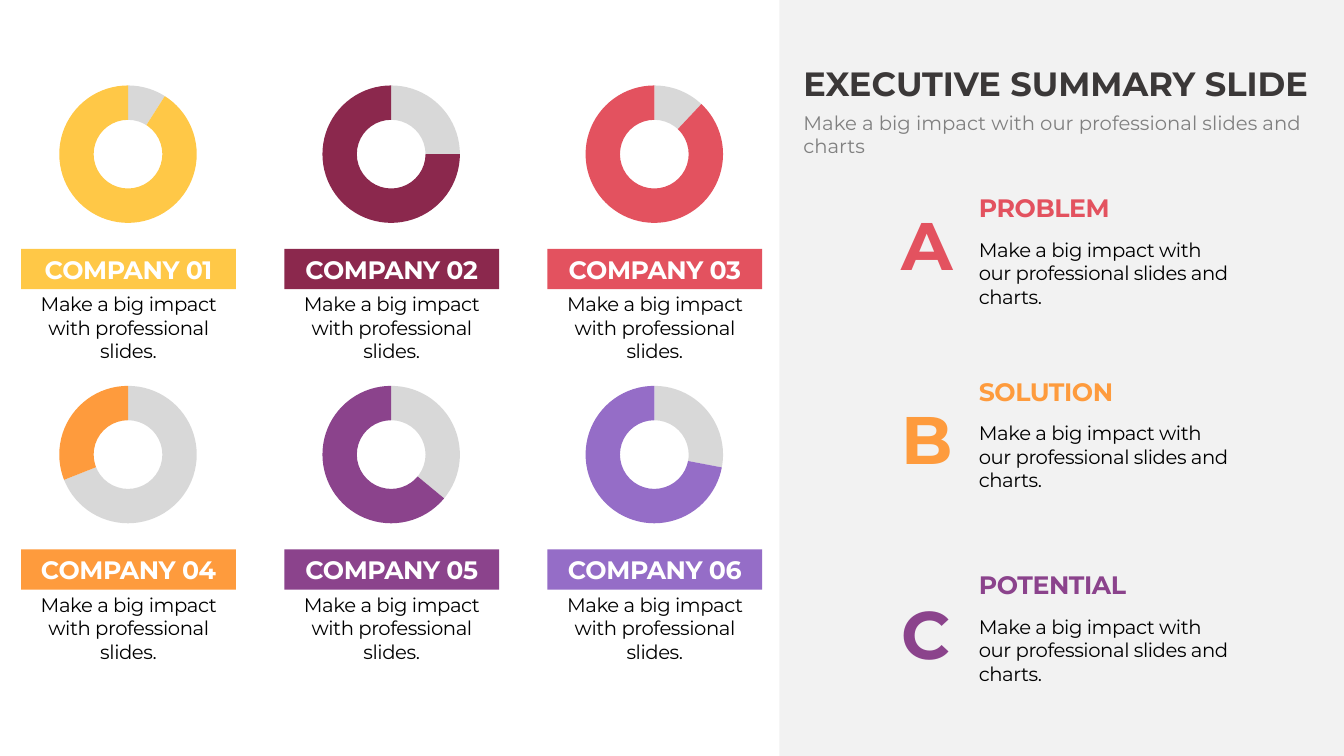
from lxml.etree import SubElement
from pptx import Presentation
from pptx.chart.data import CategoryChartData
from pptx.dml.color import RGBColor
from pptx.enum.chart import XL_CHART_TYPE
from pptx.enum.shapes import MSO_SHAPE
from pptx.enum.text import MSO_ANCHOR, MSO_AUTO_SIZE, PP_ALIGN
from pptx.oxml.ns import qn
from pptx.util import Pt

PX = 9144
COLOURS = {
    "panel": "F2F2F2", "title": "3B3838", "grey": "808080", "black": "000000",
    "white": "FFFFFF", "yellow": "FFC847", "wine": "8B284D", "red": "E3525F",
    "orange": "FE9B3D", "purple": "8B438C", "lilac": "956DC7",
}
COMPANIES = [("yellow", 9), ("wine", 25), ("red", 12),
             ("orange", 69), ("purple", 36), ("lilac", 28)]
SECTIONS = [("A", "PROBLEM", "red", 186, 196),
            ("B", "SOLUTION", "orange", 368, 389),
            ("C", "POTENTIAL", "purple", 560, 582)]


def colour(name):
    """Return the named colour."""
    return RGBColor.from_string(COLOURS[name])


def write_text(shape, text, size=14, color="black", bold=False, spacing=-30,
               align=PP_ALIGN.LEFT, anchor=MSO_ANCHOR.TOP):
    """Put formatted text into a shape."""
    frame = shape.text_frame
    frame.word_wrap = True
    frame.auto_size = MSO_AUTO_SIZE.SHAPE_TO_FIT_TEXT
    frame.vertical_anchor = anchor
    paragraph = frame.paragraphs[0]
    paragraph.alignment = align
    run = paragraph.add_run()
    run.text = text
    font = run.font
    font.name, font.size, font.bold = "Montserrat", Pt(size), bold
    font.color.rgb = colour(color)
    if spacing:
        font._element.set("spc", str(spacing))


class SlideBuilder:
    """Draw styled elements on one slide."""

    def __init__(self, slide):
        """Keep the current slide."""
        self.slide = slide

    def rectangle(self, left, top, width, height, fill):
        """Add a plain filled rectangle."""
        shape = self.slide.shapes.add_shape(
            MSO_SHAPE.RECTANGLE, left * PX, top * PX, width * PX, height * PX)
        shape.shadow.inherit = False
        shape.fill.solid()
        shape.fill.fore_color.rgb = colour(fill)
        shape.line.fill.background()
        return shape

    def text(self, left, top, width, height, text, **style):
        """Add a text box."""
        box = self.slide.shapes.add_textbox(
            left * PX, top * PX, width * PX, height * PX)
        write_text(box, text, **style)

    def doughnut(self, left, top, width, height, rest, color):
        """Add a doughnut with a grey rest and a coloured share."""
        data = CategoryChartData()
        data.categories = ["1", "2"]
        data.add_series("Series 1", (rest, 100 - rest))
        chart = self.slide.shapes.add_chart(
            XL_CHART_TYPE.DOUGHNUT, left * PX, top * PX,
            width * PX, height * PX, data).chart
        chart.has_legend = False
        chart.has_title = False
        chart.font.name, chart.font.size = "Calibri", Pt(10)
        chart.font.color.rgb = colour("black")
        plot = chart.plots[0]
        plot.vary_by_categories = True
        plot.has_data_labels = False
        plot._element.find(qn("c:holeSize")).set("val", "43")
        for index, name in enumerate(("grey", color)):
            point = plot.series[0].points[index].format
            point.fill.solid()
            point.fill.fore_color.rgb = colour(name)
            point.line.fill.background()
            if name == "grey":
                tint = next(point.fill._xPr.iter(qn("a:srgbClr")))
                SubElement(tint, qn("a:alpha"), val="30000")

    def company(self, index, color, rest):
        """Add one company: doughnut, name bar and caption."""
        row, column = divmod(index, 3)
        left, top = 21 + column * 261, 71 + row * 298
        self.doughnut(left + 20, top, 172, 164, rest, color)
        bar = self.rectangle(left, top + 176, 213, 40, color)
        write_text(bar, f"COMPANY {index + 1:02}", size=18, color="white",
                   bold=True, align=PP_ALIGN.CENTER, anchor=MSO_ANCHOR.BOTTOM)
        self.text(left, top + 214, 213, 81,
                  "Make a big impact with professional slides.",
                  align=PP_ALIGN.CENTER)

    def section(self, letter, heading, color, top, letter_top):
        """Add one lettered section of the summary."""
        self.text(961, top, 275, 40, heading, size=18, color=color, bold=True,
                  anchor=MSO_ANCHOR.BOTTOM)
        self.text(961, top + 45, 274, 81,
                  "Make a big impact with our professional slides and charts.")
        self.text(884, letter_top, 60, 91, letter, size=48, color=color,
                  bold=True, spacing=-290, align=PP_ALIGN.CENTER,
                  anchor=MSO_ANCHOR.MIDDLE)


def main():
    """Build and save the slide."""
    presentation = Presentation()
    presentation.slide_width = 1333 * PX
    presentation.slide_height = 750 * PX
    builder = SlideBuilder(
        presentation.slides.add_slide(presentation.slide_layouts[6]))
    builder.rectangle(773, 0, 560, 750, "panel")
    builder.text(787, 57, 546, 50, "EXECUTIVE SUMMARY SLIDE", size=24,
                 color="title", bold=True, spacing=0, anchor=MSO_ANCHOR.BOTTOM)
    builder.text(787, 105, 515, 57,
                 "Make a big impact with our professional slides and charts",
                 color="grey", spacing=0)
    for index, (color, rest) in enumerate(COMPANIES):
        builder.company(index, color, rest)
    for section in SECTIONS:
        builder.section(*section)
    presentation.save("out.pptx")


if __name__ == "__main__":
    main()
